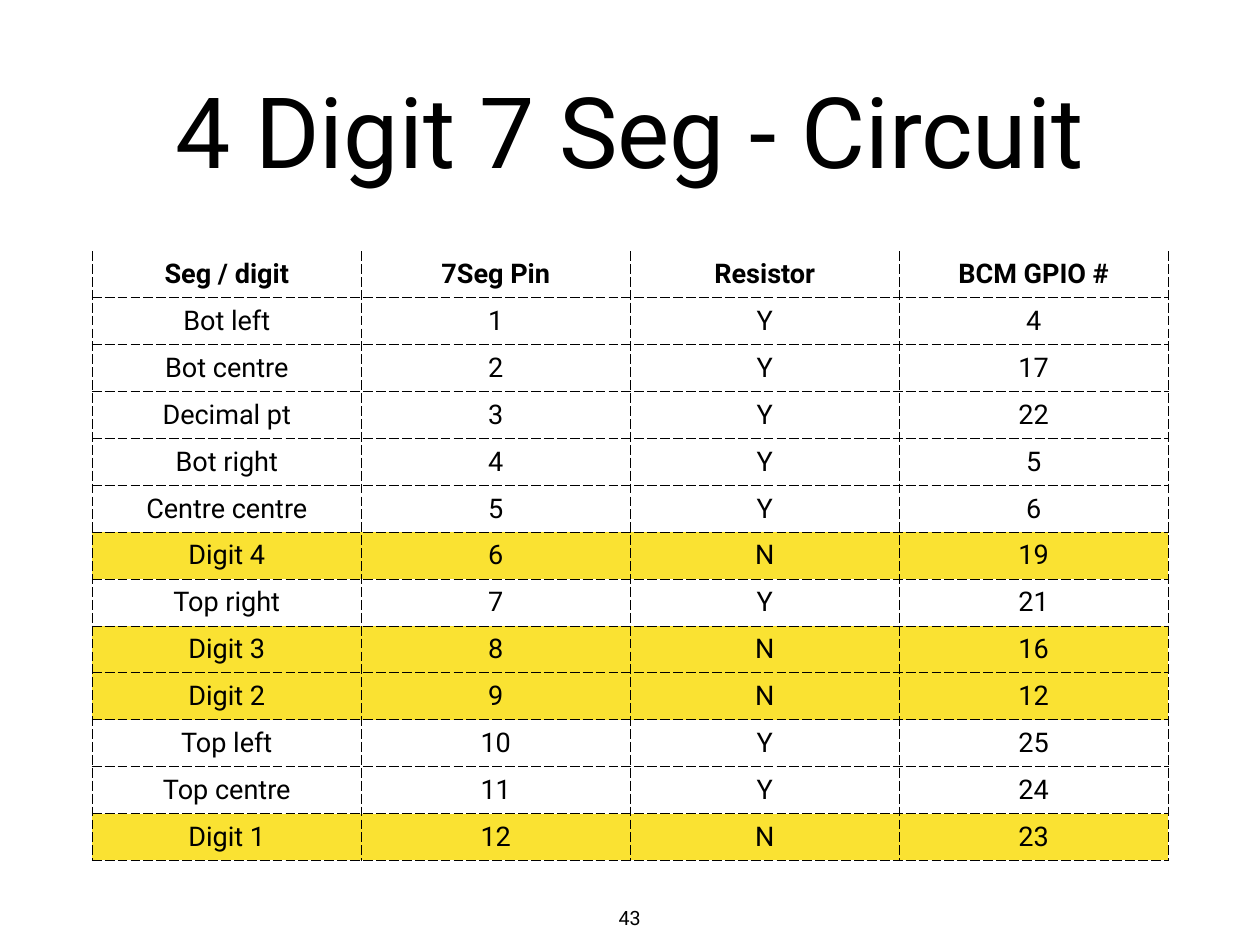
from dataclasses import dataclass

from lxml import etree
from pptx import Presentation
from pptx.enum import text as txt
from pptx.oxml import ns
from pptx.util import Pt

FONT = "Roboto"
HUES = {"ink": "000000", "mark": "FAE232"}
INSET = Pt(4)
HEADS = ("Seg / digit", "7Seg Pin", "Resistor", "BCM GPIO #")
WIDE, HIGH = 218.6, 38.1


@dataclass
class Label:
    words: str
    left: float
    top: float
    width: float
    height: float
    size: int
    anchor: txt.MSO_ANCHOR
    wrap: bool


@dataclass
class Pin:
    name: str
    gpio: int

    @property
    def digit(self) -> bool:
        return self.name.startswith("Digit")


LABELS = [
    Label("4 Digit 7 Seg - Circuit", 75, 20, 874, 170, 80, txt.MSO_ANCHOR.MIDDLE, True),
    Label("43", 498.5, 732, 26.6, 25, 16, txt.MSO_ANCHOR.TOP, False),
]
PINS = [
    Pin("Bot left", 4), Pin("Bot centre", 17), Pin("Decimal pt", 22),
    Pin("Bot right", 5), Pin("Centre centre", 6), Pin("Digit 4", 19),
    Pin("Top right", 21), Pin("Digit 3", 16), Pin("Digit 2", 12),
    Pin("Top left", 25), Pin("Top centre", 24), Pin("Digit 1", 23),
]


def style(frame, size: int, bold: bool = False) -> None:
    """Centre the text and set its font."""
    para = frame.paragraphs[0]
    para.alignment = txt.PP_ALIGN.CENTER
    for run in para.runs:
        font = run.font
        font.name, font.size, font.bold = FONT, Pt(size), bold
        font.color.rgb = ns_rgb("ink")


def ns_rgb(name: str):
    from pptx.dml.color import RGBColor
    return RGBColor.from_string(HUES[name])


def pad(item) -> None:
    """Give a cell or text frame its inner margins."""
    item.margin_left = item.margin_right = INSET
    item.margin_top = item.margin_bottom = INSET


def write(slide, label: Label) -> None:
    box = slide.shapes.add_textbox(
        Pt(label.left), Pt(label.top), Pt(label.width), Pt(label.height))
    frame = box.text_frame
    frame.text = label.words
    frame.word_wrap = label.wrap
    frame.vertical_anchor = label.anchor
    pad(frame)
    style(frame, label.size)


def edge(cell, top: bool) -> None:
    """Dash the cell's borders, leaving the top one out if asked."""
    props = cell._tc.get_or_add_tcPr()
    for spot, side in enumerate(("lnL", "lnR", "lnT", "lnB")):
        line = etree.Element(ns.qn(f"a:{side}"), w=str(Pt(1)))
        if side == "lnT" and not top:
            etree.SubElement(line, ns.qn("a:noFill"))
        else:
            fill = etree.SubElement(line, ns.qn("a:solidFill"))
            etree.SubElement(fill, ns.qn("a:srgbClr"), val=HUES["ink"])
            etree.SubElement(line, ns.qn("a:prstDash"), val="dash")
        props.insert(spot, line)


def fill_cell(cell, words: str, head: bool, mark: bool) -> None:
    cell.text = words
    cell.vertical_anchor = txt.MSO_ANCHOR.MIDDLE
    pad(cell)
    style(cell.text_frame, 22, head)
    if mark:
        cell.fill.solid()
        cell.fill.fore_color.rgb = ns_rgb("mark")
    else:
        cell.fill.background()
    edge(cell, not head)


def add_grid(slide) -> None:
    rows = [HEADS] + [
        (pin.name, str(num), "N" if pin.digit else "Y", str(pin.gpio))
        for num, pin in enumerate(PINS, 1)]
    marks = [False] + [pin.digit for pin in PINS]
    grid = slide.shapes.add_table(
        len(rows), len(HEADS), Pt(75), Pt(204),
        Pt(WIDE * len(HEADS)), Pt(HIGH * len(rows))).table
    grid.first_row = grid.horz_banding = False
    for col in grid.columns:
        col.width = Pt(WIDE)
    for r, (row, mark) in enumerate(zip(rows, marks)):
        grid.rows[r].height = Pt(HIGH)
        for c, words in enumerate(row):
            fill_cell(grid.cell(r, c), words, r == 0, mark)


def main() -> None:
    deck = Presentation()
    deck.slide_width, deck.slide_height = Pt(1024), Pt(768)
    slide = deck.slides.add_slide(deck.slide_layouts[6])
    for label in LABELS:
        write(slide, label)
    add_grid(slide)
    deck.save("out.pptx")


if __name__ == "__main__":
    main()
